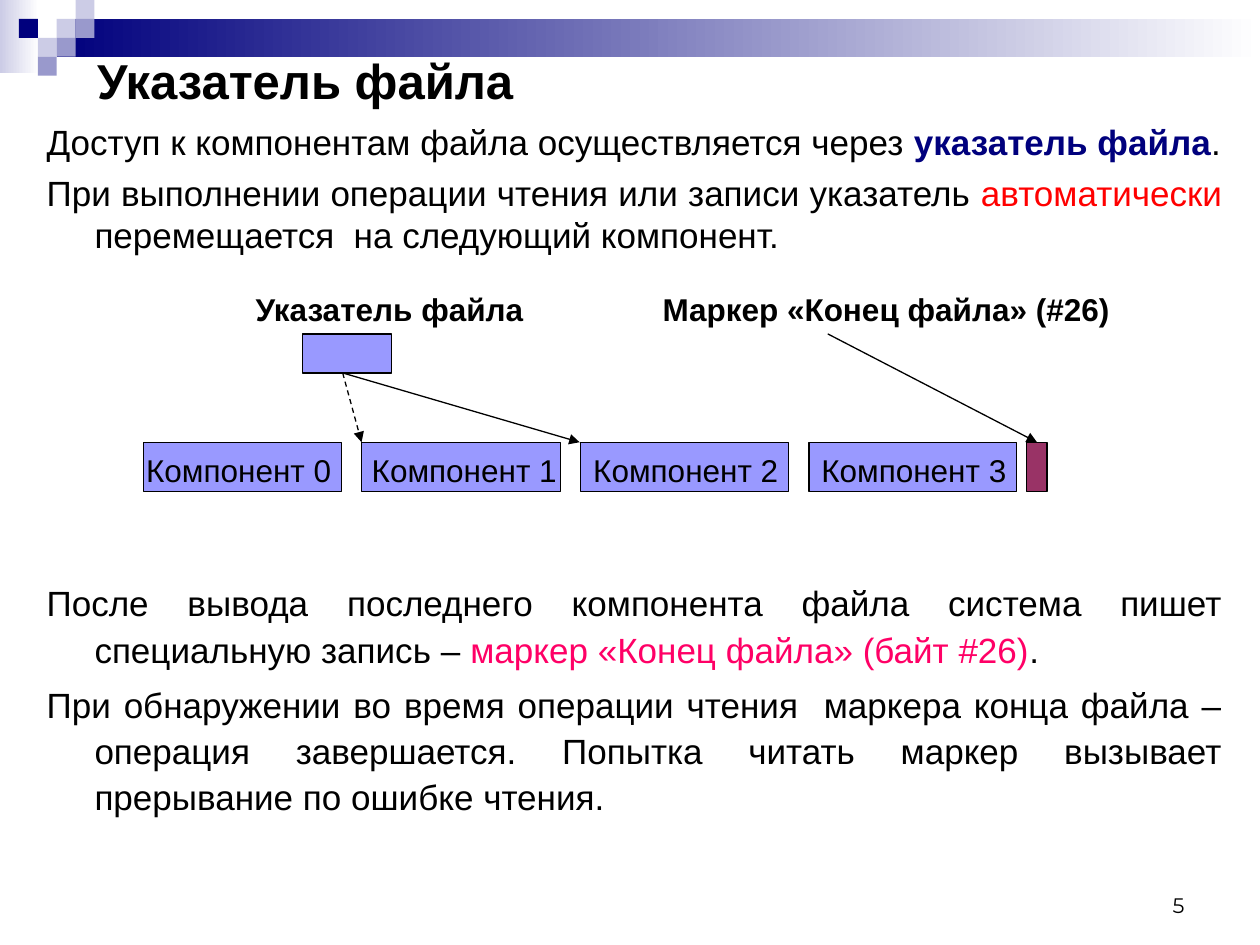
import pptx
import pptx.util
import pptx.dml.color
import pptx.enum.dml
import pptx.enum.shapes
import pptx.enum.text
import pptx.oxml
import pptx.oxml.ns

Inches = pptx.util.Inches
Pt = pptx.util.Pt
RGBColor = pptx.dml.color.RGBColor
ALIGN = pptx.enum.text.PP_ALIGN
ANCHOR = pptx.enum.text.MSO_ANCHOR

BLACK = RGBColor(0x00, 0x00, 0x00)
WHITE = RGBColor(0xFF, 0xFF, 0xFF)
NAVY = RGBColor(0x00, 0x00, 0x7D)
LAVENDER = RGBColor(0xCC, 0xCC, 0xE6)
SLATE = RGBColor(0x99, 0x99, 0xCC)
RED = RGBColor(0xFF, 0x00, 0x00)
PINK = RGBColor(0xFF, 0x00, 0x66)
BLUE = RGBColor(0x99, 0x99, 0xFF)
PLUM = RGBColor(0x99, 0x33, 0x66)

TITLE = "Указатель файла"
BODY = [
    {"runs": [("Доступ к компонентам файла осуществляется через ", BLACK, False),
              ("указатель файла", NAVY, True), (".", BLACK, False)],
     "align": ALIGN.LEFT, "before": 5, "spacing": 1.0},
    {"runs": [("При выполнении операции чтения или записи указатель ", BLACK, False),
              ("автоматически ", RED, False),
              ("перемещается  на следующий компонент.", BLACK, False)],
     "align": ALIGN.JUSTIFY, "before": 5, "spacing": 1.0},
    {"runs": [("После вывода последнего компонента файла система пишет "
               "специальную запись – ", BLACK, False),
              ("маркер «Конец файла» (байт #26)", PINK, False), (".", BLACK, False)],
     "align": ALIGN.JUSTIFY, "before": 184, "spacing": 1.1},
    {"runs": [("При обнаружении во время операции чтения  маркера конца файла – "
               "операция завершается. Попытка читать маркер вызывает "
               "прерывание по ошибке чтения.", BLACK, False)],
     "align": ALIGN.JUSTIFY, "before": 5, "spacing": 1.1},
]
GRADIENT_BARS = [((0, 0, 0.31, 0.58), LAVENDER), ((0.45, 0.15, 9.55, 0.3), NAVY)]
SQUARE = 0.15
SQUARES = [(3, 1, LAVENDER), (4, 0, LAVENDER), (4, 1, SLATE), (2, 2, LAVENDER),
           (1, 1, NAVY), (3, 2, SLATE), (2, 3, SLATE)]
ROW_TOP, ROW_HEIGHT = 3.51, 0.39
COMPONENTS = [("Компонент 0", 1.14, 1.57, 0.02), ("Компонент 1", 2.87, 1.58, 0.08),
              ("Компонент 2", 4.61, 1.65, 0.1), ("Компонент 3", 6.42, 1.65, 0.1)]
CAPTIONS = [("Указатель файла", 1.93, 2.6), ("Маркер «Конец файла» (#26)", 5.16, 4.02)]
POINTER = (2.4, 2.65, 0.71, 0.31)
END_MARKER = (8.15, ROW_TOP, 0.16, ROW_HEIGHT)
ARROWS = [((2.72, 2.96), (4.6, ROW_TOP), False), ((2.72, 2.96), (2.87, ROW_TOP), True),
          ((6.57, 2.65), (8.23, ROW_TOP), False)]


def write(paragraph, text, size=18, color=BLACK, bold=False, font="Arial", align=ALIGN.LEFT):
    paragraph.alignment = align
    run = paragraph.add_run()
    run.text = text
    run.font.name = font
    run.font.size = Pt(size)
    run.font.bold = bold
    run.font.color.rgb = color


def place(shape, box):
    shape.left, shape.top, shape.width, shape.height = map(Inches, box)


def add_rectangle(slide, box, color, outlined=False):
    shape = slide.shapes.add_shape(pptx.enum.shapes.MSO_SHAPE.RECTANGLE, *map(Inches, box))
    shape.shadow.inherit = False
    shape.fill.solid()
    shape.fill.fore_color.rgb = color
    if outlined:
        shape.line.color.rgb = BLACK
        shape.line.width = Pt(0.75)
    else:
        shape.line.fill.background()
    return shape


def add_text_box(slide, box, text, anchor=ANCHOR.TOP, **style):
    frame = slide.shapes.add_textbox(*map(Inches, box)).text_frame
    frame.word_wrap = True
    frame.vertical_anchor = anchor
    write(frame.paragraphs[0], text, **style)


def add_arrow(slide, start, end, dashed):
    connector = slide.shapes.add_connector(
        pptx.enum.shapes.MSO_CONNECTOR.STRAIGHT, *map(Inches, start + end))
    connector.line.color.rgb = BLACK
    connector.line.width = Pt(0.75)
    if dashed:
        connector.line.dash_style = pptx.enum.dml.MSO_LINE.DASH
    head = pptx.oxml.parse_xml(
        '<a:tailEnd %s type="triangle"/>' % pptx.oxml.ns.nsdecls("a"))
    connector.line._get_or_add_ln().append(head)
    connector._element.spPr.append(
        pptx.oxml.parse_xml("<a:effectLst %s/>" % pptx.oxml.ns.nsdecls("a")))


def add_decoration(slide):
    for box, color in GRADIENT_BARS:
        fill = add_rectangle(slide, box, color).fill
        fill.gradient()
        fill.gradient_angle = 0
        for stop, stop_color, position in zip(fill.gradient_stops, (color, WHITE), (0, 1)):
            stop.color.rgb = stop_color
            stop.position = position
    for column, row, color in SQUARES:
        add_rectangle(slide, (column * SQUARE, row * SQUARE, SQUARE, SQUARE), color)


def fill_placeholders(title, body):
    place(title, (0.67, 0.44, 9.06, 0.39))
    title.text_frame.auto_size = pptx.enum.text.MSO_AUTO_SIZE.NONE
    title.text_frame.vertical_anchor = ANCHOR.MIDDLE
    write(title.text_frame.paragraphs[0], TITLE, size=28, bold=True)

    place(body, (0.27, 0.91, 9.53, 6.38))
    frame = body.text_frame
    frame.auto_size = pptx.enum.text.MSO_AUTO_SIZE.NONE
    for index, item in enumerate(BODY):
        paragraph = frame.add_paragraph() if index else frame.paragraphs[0]
        paragraph.space_before = Pt(item["before"])
        paragraph.line_spacing = item["spacing"]
        properties = paragraph._p.get_or_add_pPr()
        properties.set("marL", str(Inches(0.38)))
        properties.set("indent", str(Inches(-0.38)))
        properties.append(
            pptx.oxml.parse_xml("<a:buNone %s/>" % pptx.oxml.ns.nsdecls("a")))
        for text, color, bold in item["runs"]:
            write(paragraph, text, size=20, color=color, bold=bold, align=item["align"])


def add_file_diagram(slide):
    add_rectangle(slide, POINTER, BLUE, outlined=True)
    for text, left, width, inset in COMPONENTS:
        shape = add_rectangle(slide, (left, ROW_TOP, width, ROW_HEIGHT), BLUE, outlined=True)
        frame = shape.text_frame
        frame.margin_left = Inches(inset)
        frame.margin_top = Inches(0.05)
        frame.margin_right = frame.margin_bottom = 0
        frame.vertical_anchor = ANCHOR.MIDDLE
        write(frame.paragraphs[0], text)
    add_rectangle(slide, END_MARKER, PLUM, outlined=True)
    for text, left, width in CAPTIONS:
        add_text_box(slide, (left, 2.25, width, 0.4), text, bold=True)
    for start, end, dashed in ARROWS:
        add_arrow(slide, start, end, dashed)


def main():
    presentation = pptx.Presentation()
    presentation.slide_width = Inches(10)
    presentation.slide_height = Inches(7.5)
    slide = presentation.slides.add_slide(presentation.slide_layouts[1])
    add_decoration(slide)
    fill_placeholders(slide.shapes.title, slide.placeholders[1])
    add_file_diagram(slide)
    add_text_box(slide, (7.17, 6.83, 2.33, 0.5), "5", anchor=ANCHOR.BOTTOM,
                 size=12, font="Montserrat", align=ALIGN.RIGHT)
    presentation.save("out.pptx")


if __name__ == "__main__":
    main()
